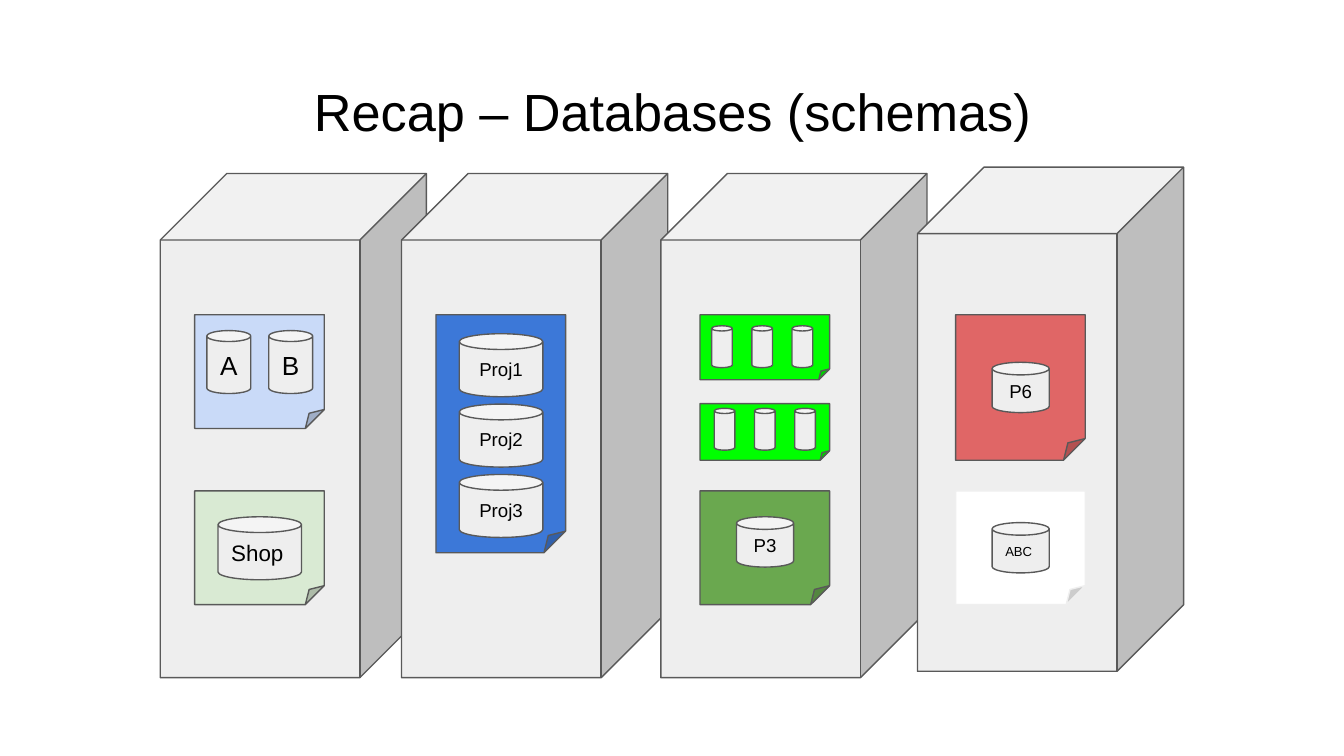
"""Build a slide of server cabinets holding instances and their databases."""
from pptx import Presentation
from pptx.dml.color import RGBColor
from pptx.enum.shapes import MSO_SHAPE
from pptx.enum.text import MSO_ANCHOR, PP_ALIGN
from pptx.util import Cm, Pt

CUBE, NOTE, CAN = MSO_SHAPE.CUBE, MSO_SHAPE.FOLDED_CORNER, MSO_SHAPE.CAN
LEFT, CENTER = PP_ALIGN.LEFT, PP_ALIGN.CENTER
TOP, MIDDLE = MSO_ANCHOR.TOP, MSO_ANCHOR.MIDDLE
TITLE_ONLY = 5
GREY, OUTLINE, PALE_OUTLINE, BLACK = "EEEEEE", "595959", "EFEFEF", "000000"
INSET = Cm(0.25)
FRAME_FORMAT = {
    "word_wrap": True,
    "margin_left": INSET,
    "margin_right": INSET,
    "margin_top": INSET,
    "margin_bottom": INSET,
}

CABINETS = [(3.03, 3.28), (7.59, 3.28), (12.49, 3.28), (17.34, 3.16)]
CABINET_SIZE = (5.03, 9.53)
INSTANCE_WIDTH = 2.45
INSTANCES = [
    (8.24, 5.95, 4.5, "3C78D8", OUTLINE),
    (3.68, 5.95, 2.15, "C9DAF8", OUTLINE),
    (3.68, 9.28, 2.15, "D9EAD3", OUTLINE),
    (13.23, 5.95, 1.23, "00FF00", OUTLINE),
    (13.23, 9.28, 2.15, "6AA84F", OUTLINE),
    (18.06, 5.95, 2.75, "E06666", OUTLINE),
    (18.06, 9.28, 2.15, "FFFFFF", PALE_OUTLINE),
    (13.23, 7.63, 1.07, "00FF00", OUTLINE),
]
NARROW, WIDE, SMALL, TINY = (0.83, 1.19), (1.58, 1.19), (1.08, 0.95), (0.39, 0.79)
DATABASES = [
    ("A", 3.91, 6.25, NARROW, 14, LEFT),
    ("B", 5.08, 6.25, NARROW, 14, LEFT),
    ("Shop", 4.12, 9.77, WIDE, 12, LEFT),
    ("P3", 13.92, 9.77, SMALL, 10, CENTER),
    ("P6", 18.75, 6.85, SMALL, 10, CENTER),
    ("ABC", 18.75, 9.88, SMALL, 7, LEFT),
]
PROJECT_LEFT, PROJECT_TOP, PROJECT_STEP = 8.68, 6.31, 1.33
TINY_ROWS = [(13.45, 6.16), (13.5, 7.72)]
TINY_STEP = 0.76


def color(value):
    """Turn a hex string into a colour."""
    return RGBColor.from_string(value)


def apply_format(target, values):
    """Set each named attribute on the target."""
    for name, value in values.items():
        setattr(target, name, value)


def write(holder, wording, size, align, anchor):
    """Put one formatted line of text into a shape or placeholder."""
    frame = holder.text_frame
    apply_format(frame, {**FRAME_FORMAT, "vertical_anchor": anchor})
    line = frame.paragraphs[0]
    line.alignment = align
    run = line.add_run()
    run.text = wording
    apply_format(run.font, {"name": "Arial", "size": Pt(size)})
    run.font.color.rgb = color(BLACK)


def add_solid(slide, kind, position, size, fill=GREY, outline=OUTLINE):
    """Add a filled, outlined preset shape measured in centimetres."""
    solid = slide.shapes.add_shape(kind, *(Cm(n) for n in (*position, *size)))
    solid.shadow.inherit = False
    solid.fill.solid()
    solid.fill.fore_color.rgb = color(fill)
    solid.line.color.rgb = color(outline)
    solid.line.width = Pt(0.75)
    return solid


def add_title(slide, wording):
    """Place the heading in the title placeholder."""
    title = slide.shapes.title
    place = {"left": Cm(0.87), "top": Cm(1.24), "width": Cm(23.67), "height": Cm(1.6)}
    apply_format(title, place)
    write(title, wording, 28, CENTER, TOP)


def add_database(slide, name, left, top, size, points, align):
    """Add a database can with its name."""
    database = add_solid(slide, CAN, (left, top), size)
    write(database, name, points, align, MIDDLE)


def main():
    """Build and save the slide."""
    deck = Presentation()
    apply_format(deck, {"slide_width": Cm(25.4), "slide_height": Cm(14.29)})
    slide = deck.slides.add_slide(deck.slide_layouts[TITLE_ONLY])
    add_title(slide, "Recap – Databases (schemas)")
    for corner in CABINETS:
        add_solid(slide, CUBE, corner, CABINET_SIZE)
    for left, top, height, fill, outline in INSTANCES:
        add_solid(slide, NOTE, (left, top), (INSTANCE_WIDTH, height), fill, outline)
    for database in DATABASES:
        add_database(slide, *database)
    for index in range(3):
        project_top = PROJECT_TOP + index * PROJECT_STEP
        add_database(slide, f"Proj{index + 1}", PROJECT_LEFT, project_top, WIDE, 10, CENTER)
        for left, top in TINY_ROWS:
            add_solid(slide, CAN, (left + index * TINY_STEP, top), TINY)
    deck.save("out.pptx")


if __name__ == "__main__":
    main()
